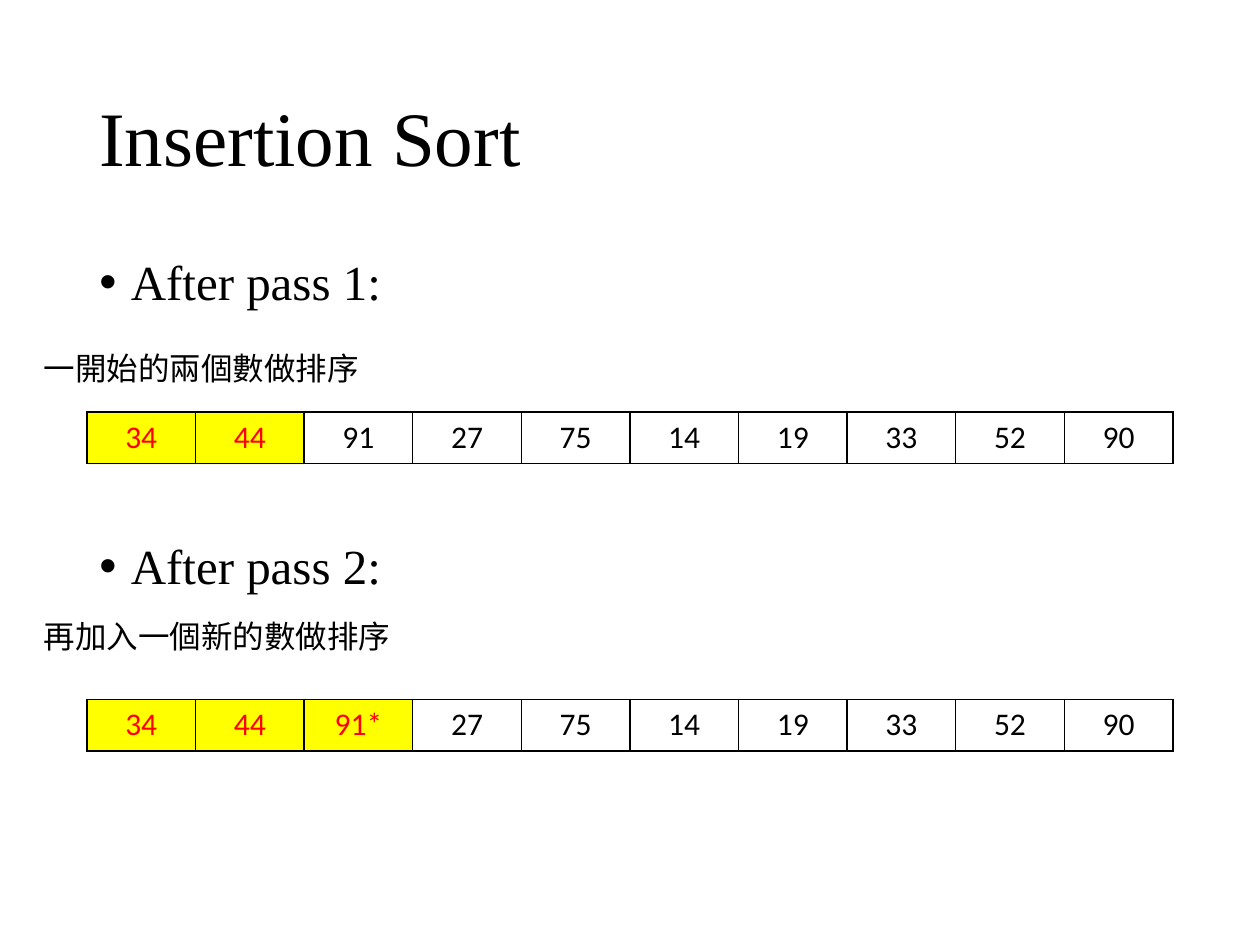
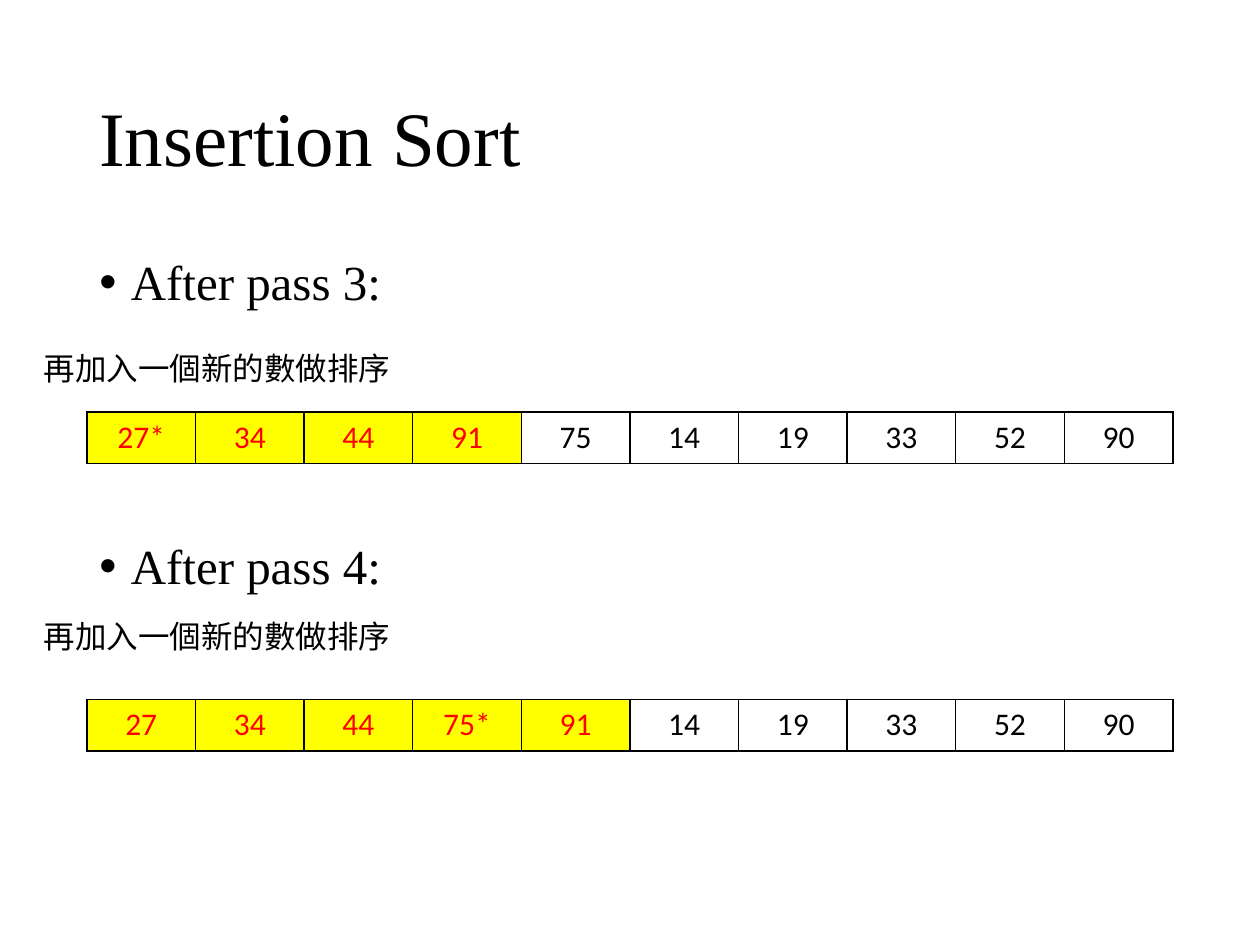
from lxml import etree
from pptx import Presentation
from pptx.dml.color import RGBColor
from pptx.enum.text import MSO_ANCHOR, MSO_AUTO_SIZE, PP_ALIGN
from pptx.oxml.ns import qn
from pptx.util import Inches, Pt

MIDDLE, TOP = MSO_ANCHOR.MIDDLE, MSO_ANCHOR.TOP
CENTER = PP_ALIGN.CENTER
FIT_SHAPE = MSO_AUTO_SIZE.SHAPE_TO_FIT_TEXT

BLACK = RGBColor(0x00, 0x00, 0x00)
RED = RGBColor(0xFF, 0x00, 0x00)
YELLOW = RGBColor(0xFF, 0xFF, 0x00)
SERIF, SANS, CJK = "Times New Roman", "Calibri", "Noto Sans CJK SC"

SLIDE_W, SLIDE_H = Inches(10), Inches(7.5)
LEFT, WIDTH = Inches(0.69), Inches(8.62)
TITLE_BOX = (LEFT, Inches(0.4), WIDTH, Inches(1.45))
BODY_BOX = (LEFT, Inches(2), WIDTH, Inches(4.76))
NOTE_BOXES = [(Inches(0.25), Inches(top), Inches(2.98), Inches(0.4))
              for top in (2.72, 4.85)]
ARRAY_BOXES = [(LEFT, Inches(top), WIDTH, Inches(0.41))
               for top in (3.27, 5.55)]
HEADING_SPACES = (Pt(10), Pt(132))  # the second heading clears the first array

START_NOTE = "一開始的兩個數做排序"
NEXT_NOTE = "再加入一個新的數做排序"
# Each pass: note and array; pass n leaves the first n + 1 numbers sorted
PASSES = [
    (START_NOTE, "34 44 91 27 75 14 19 33 52 90"),
    (NEXT_NOTE, "34 44 91* 27 75 14 19 33 52 90"),
    (NEXT_NOTE, "27* 34 44 91 75 14 19 33 52 90"),
    (NEXT_NOTE, "27 34 44 75* 91 14 19 33 52 90"),
]
PASSES_PER_SLIDE = 2


def style(paragraph, font_name, size, color=BLACK):
    font = paragraph.font
    font.name, font.size = font_name, Pt(size)
    font.color.rgb = color


def add_text_frame(slide, box, anchor=TOP):
    frame = slide.shapes.add_textbox(*box).text_frame
    frame.word_wrap = True
    frame.vertical_anchor = anchor
    return frame


def add_title(slide, box, title):
    paragraph = add_text_frame(slide, box, MIDDLE).paragraphs[0]
    paragraph.text = title
    paragraph.line_spacing = 0.9
    style(paragraph, SERIF, 44)


def add_headings(slide, box, headings):
    frame = add_text_frame(slide, box)
    frame.text = "\n".join(headings)
    for paragraph, space in zip(frame.paragraphs, HEADING_SPACES):
        paragraph.line_spacing = 0.9
        paragraph.space_before = space
        style(paragraph, SERIF, 28)
        # Hanging bullet, placed ahead of the default run properties
        properties = paragraph._p.get_or_add_pPr()
        properties.set("marL", str(Inches(0.25)))
        properties.set("indent", str(-Inches(0.25)))
        defaults = properties.find(qn("a:defRPr"))
        for tag, key, value in (("a:buFont", "typeface", "Arial"),
                                ("a:buChar", "char", "•")):
            defaults.addprevious(etree.Element(qn(tag), {key: value}))


def add_note(slide, box, note):
    frame = add_text_frame(slide, box)
    frame.word_wrap = False
    frame.auto_size = FIT_SHAPE
    paragraph = frame.paragraphs[0]
    paragraph.text = note
    style(paragraph, CJK, 18)
    defaults = paragraph._p.pPr.find(qn("a:defRPr"))
    etree.SubElement(defaults, qn("a:ea"), typeface=CJK)


def outline_cell(cell):
    properties = cell._tc.get_or_add_tcPr()
    for position, side in enumerate(("a:lnL", "a:lnR", "a:lnT", "a:lnB")):
        line = etree.Element(qn(side), w=str(Pt(1)))
        fill = etree.SubElement(line, qn("a:solidFill"))
        etree.SubElement(fill, qn("a:srgbClr"), val=str(BLACK))
        properties.insert(position, line)


def add_array(slide, box, numbers, sorted_count):
    table = slide.shapes.add_table(1, len(numbers), *box).table
    table.first_row = table.horz_banding = False
    for index, number in enumerate(numbers):
        is_sorted = index < sorted_count
        cell = table.cell(0, index)
        cell.text = number
        cell.vertical_anchor = MIDDLE
        paragraph = cell.text_frame.paragraphs[0]
        paragraph.alignment = CENTER
        style(paragraph, SANS, 18, RED if is_sorted else BLACK)
        if is_sorted:
            cell.fill.solid()
            cell.fill.fore_color.rgb = YELLOW
        else:
            cell.fill.background()
        outline_cell(cell)


def add_sort_slide(deck, first_pass):
    slide = deck.slides.add_slide(deck.slide_layouts[6])
    pass_numbers = range(first_pass, first_pass + PASSES_PER_SLIDE)
    add_title(slide, TITLE_BOX, "Insertion Sort")
    add_headings(slide, BODY_BOX, [f"After pass {n}:" for n in pass_numbers])
    for n, note_box, array_box in zip(pass_numbers, NOTE_BOXES, ARRAY_BOXES):
        note, numbers = PASSES[n - 1]
        add_note(slide, note_box, note)
        add_array(slide, array_box, numbers.split(), n + 1)


def main():
    deck = Presentation()
    deck.slide_width, deck.slide_height = SLIDE_W, SLIDE_H
    for first_pass in range(1, len(PASSES) + 1, PASSES_PER_SLIDE):
        add_sort_slide(deck, first_pass)
    deck.save("out.pptx")


if __name__ == "__main__":
    main()
